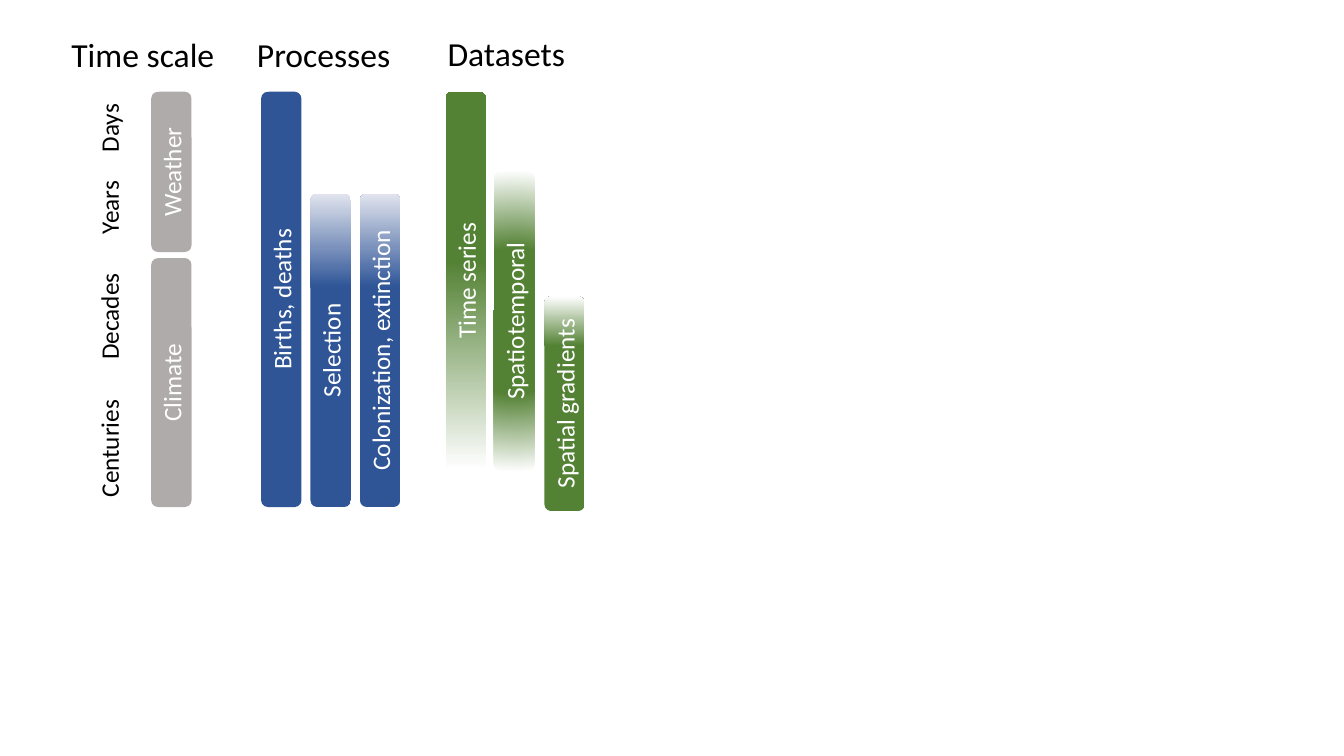
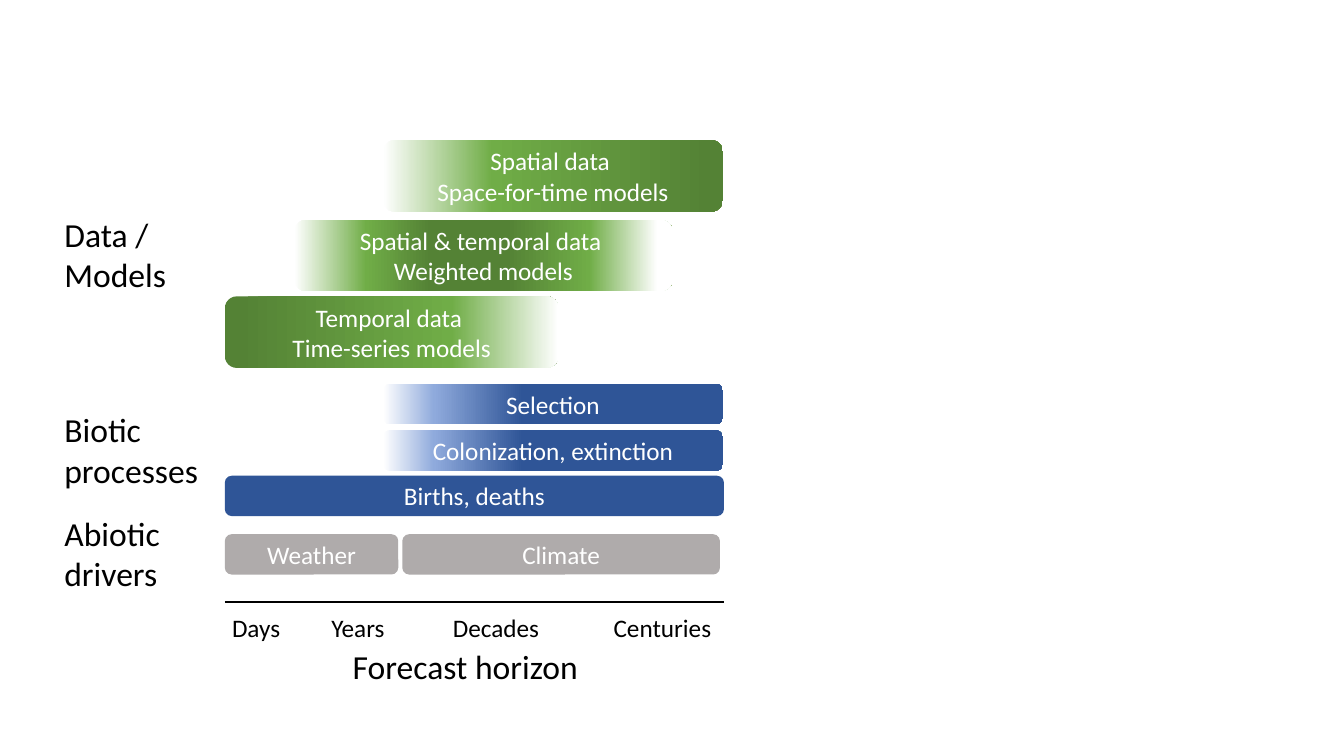
"""Build two slides that set data and processes against forecast time scales."""
from pptx import Presentation
from pptx.dml.color import RGBColor
from pptx.enum.shapes import MSO_CONNECTOR, MSO_SHAPE
from pptx.enum.text import MSO_ANCHOR, PP_ALIGN
from pptx.oxml import parse_xml
from pptx.oxml.ns import nsdecls, qn
from pptx.util import Inches, Pt

ROUND = MSO_SHAPE.ROUNDED_RECTANGLE
LINE = MSO_CONNECTOR.STRAIGHT
LEFT, CENTER = PP_ALIGN.LEFT, PP_ALIGN.CENTER
MIDDLE = MSO_ANCHOR.MIDDLE

BLACK, WHITE, GRAY = "000000", "FFFFFF", "AFABAB"
BLUE, SKY, PALE = "2F5597", "8FAADC", "E1E4EE"
GREEN, LEAF = "548235", "70AD47"
HEAD = {"name": "Calibri", "size": Pt(24)}
BODY = {"name": "Calibri", "size": Pt(18)}
THICK = 0.4
TALL = 0.71
UP = 270

LINEAR = '<a:lin ang="0" scaled="0"/>'
RADIAL = '<a:path path="circle"><a:fillToRect l="50000" t="50000" r="50000" b="50000"/></a:path>'


def paint(fill, color):
    """Give a fill one solid colour."""
    fill.solid()
    fill.fore_color.rgb = RGBColor.from_string(color)


def put(slide, text, box, look=BODY, align=CENTER, fill=None, mode=LINEAR, turn=0):
    """Add a label, or a rounded bar when a colour or list of stops is given."""
    place = [Inches(v) for v in box]
    if fill:
        shape = slide.shapes.add_shape(ROUND, *place)
        shape.shadow.inherit = False
        shape.line.fill.background()
        if isinstance(fill, str):
            paint(shape.fill, fill)
        else:
            stops = "".join(
                f'<a:gs pos="{pos * 1000}"><a:srgbClr val="{color}"/></a:gs>'
                for pos, color in fill)
            shape.fill.background()
            props = shape._element.spPr
            props.replace(props.find(qn("a:noFill")), parse_xml(
                f'<a:gradFill {nsdecls("a")} rotWithShape="1">'
                f'<a:gsLst>{stops}</a:gsLst>{mode}</a:gradFill>'))
    else:
        shape = slide.shapes.add_textbox(*place)
    shape.rotation = turn
    frame = shape.text_frame
    frame.word_wrap = bool(fill)
    if fill:
        frame.vertical_anchor = MIDDLE
    frame.text = text
    for para in frame.paragraphs:
        para.alignment = align
        for key, value in look.items():
            setattr(para.font, key, value)
        paint(para.font.fill, WHITE if fill else BLACK)


deck = Presentation()
deck.slide_width, deck.slide_height = Inches(13.33), Inches(7.5)
blank = deck.slide_layouts[6]

slide = deck.slides.add_slide(blank)
for text, left, top, width in [
    ("Time scale", 0.61, 0.29, 1.63),
    ("Processes", 2.45, 0.29, 1.54),
    ("Datasets", 4.34, 0.28, 1.38),
]:
    put(slide, text, (left, top, width, 0.5), HEAD, LEFT)

for text, mid in [("Days", 1.27), ("Years", 2.06), ("Decades", 3.14), ("Centuries", 4.45)]:
    put(slide, text, (0.48, mid - THICK / 2, 1.2, THICK), turn=UP)

rise = [(17, BLUE), (70, BLUE), (100, PALE)]
early = [(0, WHITE), (55, GREEN), (68, GREEN)]
late = [(23, GREEN), (77, GREEN), (100, WHITE)]
core = [(26, GREEN), (48, GREEN), (100, WHITE)]
for text, mid, top, long, fill, mode in [
    ("Weather", 1.7, 0.91, 1.59, GRAY, LINEAR),
    ("Climate", 1.7, 2.56, 2.47, GRAY, LINEAR),
    ("Births, deaths", 2.79, 0.91, 4.12, BLUE, LINEAR),
    ("Selection", 3.28, 1.92, 3.11, rise, LINEAR),
    ("Colonization, extinction", 3.77, 1.92, 3.11, rise, LINEAR),
    ("Time series", 4.62, 0.91, 3.75, early, LINEAR),
    ("Spatiotemporal", 5.1, 1.7, 2.97, core, RADIAL),
    ("Spatial gradients", 5.6, 2.94, 2.13, late, LINEAR),
]:
    box = (mid - long / 2, top + (long - THICK) / 2, long, THICK)
    put(slide, text, box, fill=fill, mode=mode, turn=UP)

slide = deck.slides.add_slide(blank)
for text, top, width in [
    ("Data /\nModels", 2.07, 1.22),
    ("Biotic\nprocesses", 4.01, 1.54),
    ("Abiotic\ndrivers", 5.04, 1.16),
]:
    put(slide, text, (0.54, top, width, 0.91), HEAD, LEFT)

space = [(0, WHITE), (32, LEAF), (96, GREEN)]
blend = [(0, WHITE), (19, LEAF), (36, GREEN), (56, GREEN), (78, LEAF), (96, WHITE)]
time = [(4, GREEN), (68, LEAF), (100, WHITE)]
grow = [(0, WHITE), (15, SKY), (41, BLUE), (100, BLUE)]
for text, left, top, width, high, fill in [
    ("Spatial data \nSpace-for-time models", 3.8, 1.39, 3.37, TALL, space),
    ("Spatial & temporal data \nWeighted models", 2.92, 2.18, 3.75, TALL, blend),
    ("Temporal data \nTime-series models", 2.23, 2.94, 3.31, TALL, time),
    ("Selection", 3.8, 3.81, 3.37, THICK, grow),
    ("Colonization, extinction", 3.8, 4.27, 3.37, THICK, grow),
    ("Births, deaths", 2.23, 4.72, 4.95, THICK, BLUE),
    ("Weather", 2.23, 5.3, 1.72, THICK, GRAY),
    ("Climate", 3.99, 5.3, 3.15, THICK, GRAY),
]:
    put(slide, text, (left, top, width, high), fill=fill)

axis = slide.shapes.add_connector(LINE, Inches(2.23), Inches(5.97), Inches(7.18), Inches(5.97))
axis.line.width = Pt(1.5)
paint(axis.line.fill, BLACK)
axis._element.spPr.append(parse_xml(f'<a:effectLst {nsdecls("a")}/>'))

for text, mid in [("Days", 2.54), ("Years", 3.55), ("Decades", 4.92), ("Centuries", 6.57)]:
    put(slide, text, (mid - 0.6, 6.03, 1.2, THICK))
put(slide, "Forecast horizon", (3.4, 6.36, 2.45, 0.5), HEAD, LEFT)

deck.save("out.pptx")
